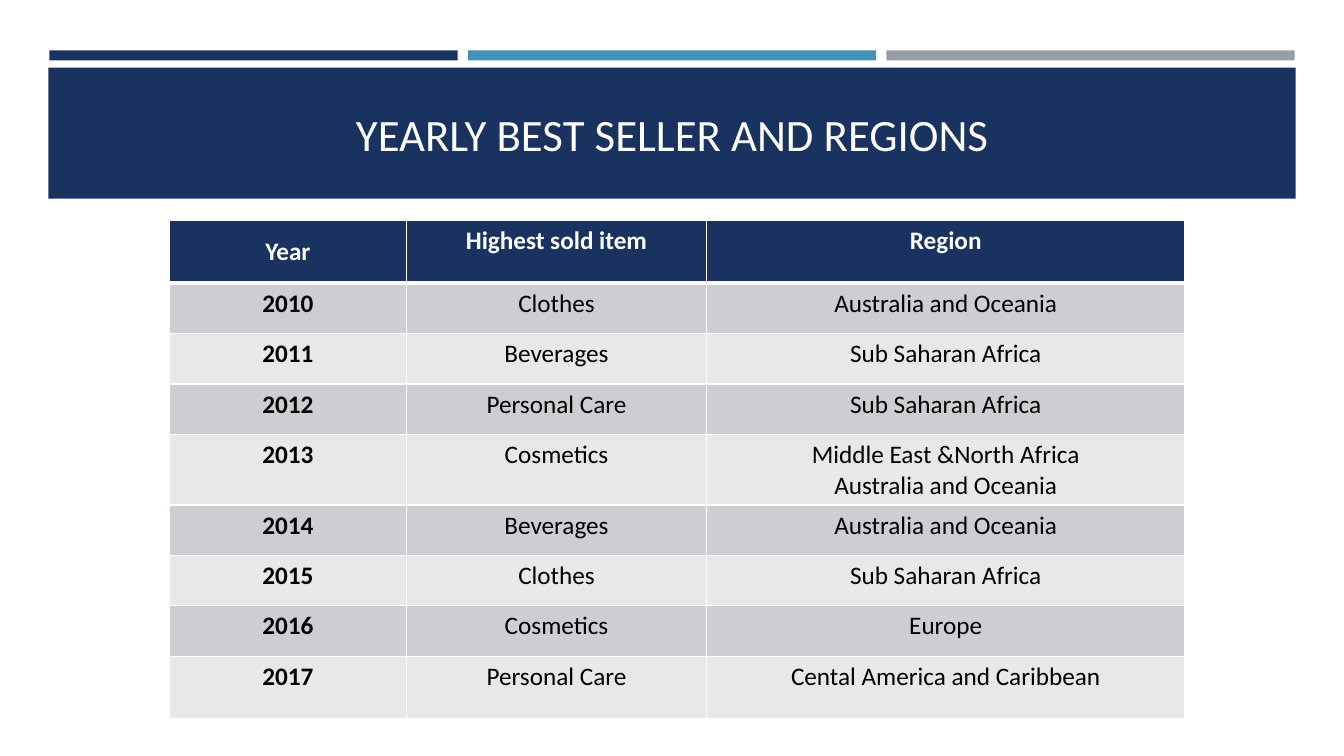
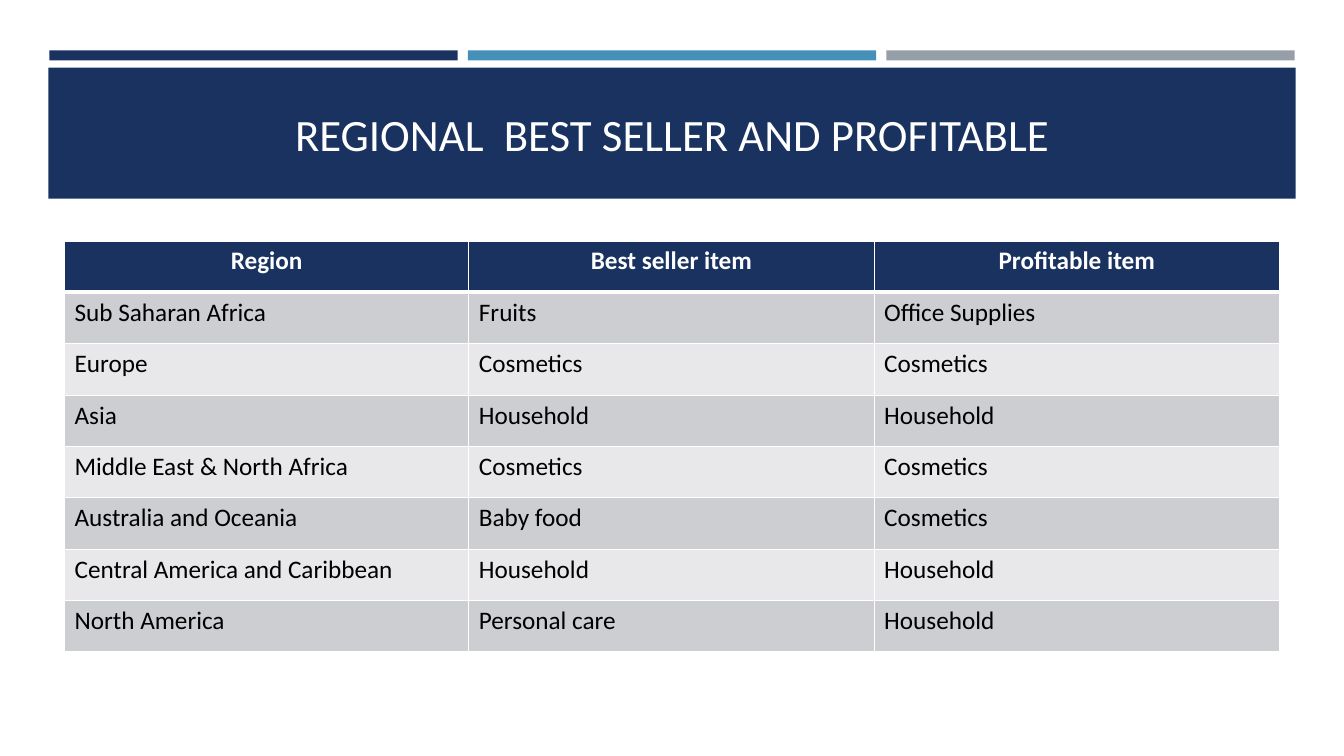
"""Build two slides of best sellers by year and by region."""
import pptx
import pptx.dml.color
import pptx.enum.shapes
import pptx.enum.text
import pptx.oxml
import pptx.oxml.ns
import pptx.util

Inches = pptx.util.Inches
Pt = pptx.util.Pt
ALIGN = pptx.enum.text.PP_ALIGN
ANCHOR = pptx.enum.text.MSO_ANCHOR

HUES = {
    "navy": "1A3260", "blue": "4590B8", "gray": "969FA7",
    "dark": "CDCED2", "light": "E8E8EA", "white": "FFFFFF", "black": "000000",
}
TITLE = {"name": "Calibri", "size": Pt(32), "bold": False}
BODY = {"name": "Calibri", "size": Pt(18), "bold": False}
STRONG = {**BODY, "bold": True}

BARS = ("navy", "blue", "gray")
LEFT, WIDE, GAP = 0.49, 4.05, 0.1

SLIDES = [
    {
        "title": "YEARLY BEST SELLER AND REGIONS",
        "at": (1.68, 2.19),
        "cols": (2.35, 2.98, 4.74),
        "row": 0.5,
        "tall": {0: 0.62, 4: 0.62, 8: 0.62},
        "align": ALIGN.CENTER,
        "years": True,
        "rows": [
            ("Year", "Highest sold item", "Region"),
            ("2010", "Clothes", "Australia and Oceania"),
            ("2011", "Beverages", "Sub Saharan Africa"),
            ("2012", "Personal Care", "Sub Saharan Africa"),
            ("2013", "Cosmetics", "Middle East &North Africa\nAustralia and Oceania"),
            ("2014", "Beverages", "Australia and Oceania"),
            ("2015", "Clothes", "Sub Saharan Africa"),
            ("2016", "Cosmetics", "Europe"),
            ("2017", "Personal Care", "Cental America and Caribbean"),
        ],
    },
    {
        "title": "REGIONAL  BEST SELLER AND PROFITABLE",
        "at": (0.64, 2.39),
        "cols": (4.01, 4.02, 4.02),
        "row": 0.51,
        "tall": {},
        "align": ALIGN.LEFT,
        "years": False,
        "rows": [
            ("Region", "Best seller item", "Profitable item"),
            ("Sub Saharan Africa", "Fruits", "Office Supplies"),
            ("Europe", "Cosmetics", "Cosmetics"),
            ("Asia", "Household", "Household"),
            ("Middle East & North Africa", "Cosmetics", "Cosmetics"),
            ("Australia and Oceania", "Baby food", "Cosmetics"),
            ("Central America and Caribbean", "Household", "Household"),
            ("North America", "Personal care", "Household"),
        ],
    },
]


def color(hue):
    return pptx.dml.color.RGBColor.from_string(HUES[hue])


def paint(part, hue):
    part.fill.solid()
    part.fill.fore_color.rgb = color(hue)


def write(frame, text, style, hue, align):
    frame.text = text
    for para in frame.paragraphs:
        para.alignment = align
        for run in para.runs:
            for key, value in style.items():
                setattr(run.font, key, value)
            run.font.color.rgb = color(hue)


def band(slide, box, hue):
    shape = slide.shapes.add_shape(
        pptx.enum.shapes.MSO_SHAPE.RECTANGLE, *map(Inches, box))
    shape.shadow.inherit = False
    shape.line.fill.background()
    paint(shape, hue)


def edge(cell, top, bottom):
    props = cell._tc.get_or_add_tcPr()
    for side, width in (("L", 1), ("R", 1), ("T", top), ("B", bottom)):
        props.append(pptx.oxml.parse_xml(
            f'<a:ln{side} {pptx.oxml.ns.nsdecls("a")} w="{Pt(width)}">'
            f'<a:solidFill><a:srgbClr val="{HUES["white"]}"/></a:solidFill>'
            f'</a:ln{side}>'))


def head(slide, title):
    for i, hue in enumerate(BARS):
        band(slide, (LEFT + i * (WIDE + GAP), 0.5, WIDE, 0.1), hue)
    band(slide, (0.48, 0.67, 12.37, 1.3), "navy")
    box = slide.shapes.add_textbox(*map(Inches, (0.64, 0.77, 12.06, 1.11)))
    frame = box.text_frame
    frame.word_wrap = True
    frame.vertical_anchor = ANCHOR.MIDDLE
    write(frame, title, TITLE, "white", ALIGN.CENTER)


def grid(slide, data):
    rows, cols = data["rows"], data["cols"]
    highs = [data["tall"].get(i, data["row"]) for i in range(len(rows))]
    size = (sum(cols), sum(highs))
    table = slide.shapes.add_table(
        len(rows), len(cols), *map(Inches, data["at"] + size)).table
    table.horz_banding = False
    for col, width in zip(table.columns, cols):
        col.width = Inches(width)
    for r, (row, high) in enumerate(zip(rows, highs)):
        table.rows[r].height = Inches(high)
        for c, text in enumerate(row):
            cell = table.cell(r, c)
            edge(cell, 3 if r == 1 else 1, 3 if r == 0 else 1)
            if r == 0:
                paint(cell, "navy")
                write(cell.text_frame, text, STRONG, "white", ALIGN.CENTER)
            else:
                paint(cell, "dark" if r % 2 else "light")
                style = STRONG if data["years"] and c == 0 else BODY
                write(cell.text_frame, text, style, "black", data["align"])
    if data["years"]:
        table.cell(0, 0).vertical_anchor = ANCHOR.MIDDLE


def main():
    deck = pptx.Presentation()
    deck.slide_width, deck.slide_height = Inches(13.33), Inches(7.5)
    for data in SLIDES:
        slide = deck.slides.add_slide(deck.slide_layouts[6])
        head(slide, data["title"])
        grid(slide, data)
    deck.save("out.pptx")


if __name__ == "__main__":
    main()
